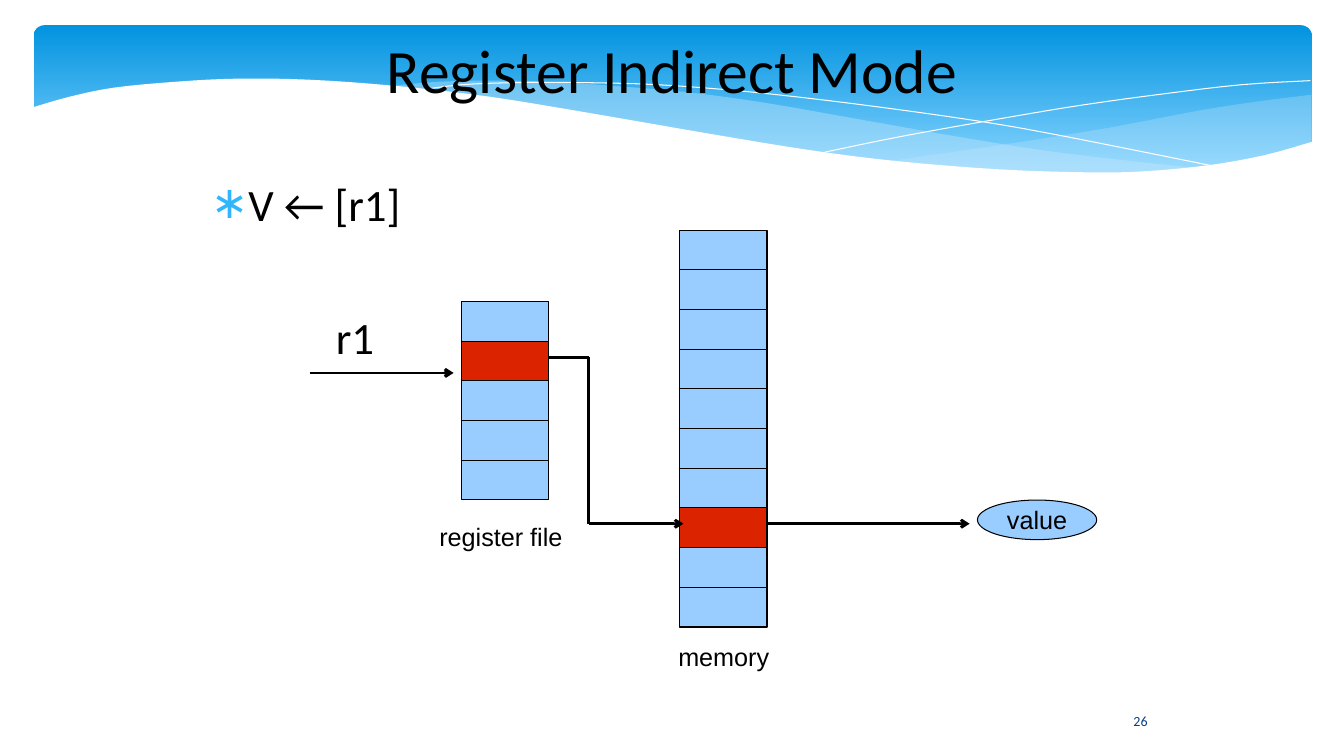
from dataclasses import dataclass
from typing import Any, NamedTuple

from lxml import etree
from pptx import Presentation
from pptx.dml.color import RGBColor
from pptx.enum.shapes import MSO_CONNECTOR, MSO_SHAPE
from pptx.enum.text import MSO_ANCHOR, MSO_AUTO_SIZE, PP_ALIGN
from pptx.oxml.ns import qn
from pptx.util import Pt

STRAIGHT = MSO_CONNECTOR.STRAIGHT
BOX, ROUND, OVAL = MSO_SHAPE.RECTANGLE, MSO_SHAPE.ROUNDED_RECTANGLE, MSO_SHAPE.OVAL
TOP, MIDDLE = MSO_ANCHOR.TOP, MSO_ANCHOR.MIDDLE
LEFT, CENTER = PP_ALIGN.LEFT, PP_ALIGN.CENTER
NO_FIT = MSO_AUTO_SIZE.NONE

Point = tuple[float, float]


@dataclass(frozen=True)
class Theme:
    black: str = "000000"
    white: str = "FFFFFF"
    cell: str = "99CCFF"
    hit: str = "DC2300"
    sky: str = "0293E0"
    pale: str = "83D3FE"
    mist: str = "C6E7FC"
    star: str = "31B6FD"
    navy: str = "073E87"
    head: str = "Calibri"
    plain: str = "Arial"
    title: float = 44
    body: float = 32
    label: float = 18
    small: float = 10


class Wave(NamedTuple):
    edges: list[list[Point]]
    fill: str | None = None
    alpha: int = 100
    ends: list[Point] = []


class Stack(NamedTuple):
    left: float
    top: float
    count: int
    hit: int


class Wire(NamedTuple):
    start: Point
    end: Point
    arrow: bool = False


class Label(NamedTuple):
    text: str
    area: tuple[float, float, float, float]
    font: str
    size: float
    color: str
    pad: tuple[float, float] = (7.2, 3.6)
    align: Any = LEFT
    anchor: Any = TOP
    wrap: bool = False
    indent: bool = False


T = Theme()
CELL_W, CELL_H = 62.4, 28.35

WAVES = [
    Wave([[(936.7, 67.7), (897.1, 72.7), (855.4, 79.2), (799.2, 90), (747.4, 98.6),
           (699.8, 105.8), (635, 115.2)],
          [(635, 115.2), (676.8, 118.8), (715, 121.7), (760.3, 123.8), (801.4, 123.8),
           (837.4, 121.7), (877, 116.6), (905, 110.9), (936.7, 102.2)]], T.mist, 29),
    Wave([[(856.8, 120.2), (803.5, 114.5), (744.5, 107.3), (677.5, 96.5), (604.1, 83.5),
           (546.5, 73.4), (493.9, 66.2), (445.7, 61.9), (403.2, 59), (364.3, 57.6),
           (314.6, 58.3), (275, 61.9)],
          [(275, 61.9), (328.3, 67.7), (367.9, 72.7), (431.3, 83.5), (508.3, 97.2),
           (577.4, 108), (638.6, 115.9), (693.4, 121), (741.6, 123.8), (784.8, 124.6),
           (823, 123.1), (856.8, 120.2)]], T.mist, 40),
    Wave([[(296.6, 64.8), (329.8, 60.5), (371.5, 59), (415.4, 59), (469.4, 60.5),
           (534.2, 65.5), (610.6, 74.2), (698.4, 86.4), (763.2, 97.9), (871.2, 119.5)]]),
    Wave([[(589, 108.7), (645.1, 97.2), (717.8, 84.2), (774, 74.9), (831.6, 67),
           (887, 60.5), (936, 57.6)]]),
    Wave([[(938.2, 101), (902.9, 110.9), (862.6, 118.1), (816.5, 122.4), (776.2, 123.1),
           (714.2, 121), (641.5, 115.2), (578.9, 107.3), (508.3, 95.8), (429.1, 82.1),
           (349.9, 69.1), (280.8, 61.2), (220.3, 56.9), (169.2, 56.2), (126.7, 58.3),
           (81.4, 62.6), (49.7, 69.1), (22.3, 77)]],
         T.white, 100, [(22.3, 161.3), (938.2, 161.3)]),
]
STACKS = [Stack(329.5, 215.4, 5, 1), Stack(485.5, 164.4, 10, 7)]
WIRES = [
    Wire((221.8, 266.4), (324, 266.4), True),
    Wire((391.9, 255.1), (420.5, 255.1)),
    Wire((420.5, 255.1), (420.5, 374.1)),
    Wire((420.5, 374.1), (488.2, 374.1), True),
    Wire((547.9, 374.1), (692.6, 374.1), True),
]
NUMBER = Label("26", (792.7, 500.4, 43.9, 28.8), T.head, T.small, T.navy,
               align=CENTER, anchor=MIDDLE, wrap=True)
TITLE = Label("Register Indirect Mode", (138.2, 12.2, 684, 73.4), T.head, T.title, T.black,
              (0, 0), CENTER, MIDDLE, True)
BODY = Label("V ← [r1]", (141.8, 126, 583.9, 55.4), T.head, T.body, T.black,
             (0, 0), wrap=True, indent=True)
NOTES = [
    Label("r1", (231.1, 221, 75.6, 38.9), T.head, T.body, T.black, (0, 0),
          wrap=True, indent=True),
    Label("register file", (306.7, 368.6, 103, 28.1), T.plain, T.label, T.black),
    Label("memory", (477.4, 454.3, 79.9, 28.1), T.plain, T.label, T.black),
]
VALUE = Label("value", (698.2, 357.2, 85.2, 28.3), T.plain, T.label, T.black,
              align=CENTER, anchor=MIDDLE)


def apply(target: Any, values: dict[str, Any]) -> None:
    for name, value in values.items():
        setattr(target, name, value)


def paint(shape: Any, fill: str | None, line: str | None) -> None:
    shape.shadow.inherit = False
    if fill:
        shape.fill.solid()
        shape.fill.fore_color.rgb = RGBColor.from_string(fill)
    else:
        shape.fill.background()
    if line:
        shape.line.color.rgb = RGBColor.from_string(line)
        shape.line.width = Pt(0)
    else:
        shape.line.fill.background()


def write(shape: Any, label: Label, bullet: str = "") -> None:
    """Place a shape and fill it with formatted text."""
    apply(shape, dict(zip(("left", "top", "width", "height"), map(Pt, label.area))))
    across, down = map(Pt, label.pad)
    frame = shape.text_frame
    apply(frame, {"margin_left": across, "margin_right": across, "margin_top": down,
                  "margin_bottom": down, "vertical_anchor": label.anchor,
                  "word_wrap": label.wrap, "auto_size": NO_FIT})
    para = frame.paragraphs[0]
    para.add_run().text = label.text
    apply(para, {"alignment": label.align, "space_before": Pt(0)})
    if label.indent:
        para.space_after = Pt(14.1)
        props = para._p.get_or_add_pPr()
        props.set("marL", str(Pt(34)))
        props.set("indent", str(-Pt(25.2)))
        if bullet:
            tint = etree.SubElement(props, qn("a:buClr"))
            etree.SubElement(tint, qn("a:srgbClr"), val=T.star)
            etree.SubElement(props, qn("a:buFont"), typeface=T.head)
            etree.SubElement(props, qn("a:buChar"), char=bullet)
    font = para.runs[0].font
    apply(font, {"name": label.font, "size": Pt(label.size), "bold": False})
    font.color.rgb = RGBColor.from_string(label.color)


def smooth(knots: list[Point], steps: int = 4) -> list[Point]:
    """Run a Catmull-Rom curve through the knots."""
    ring = [knots[0], *knots, knots[-1]]
    dots = [knots[0]]
    for a, b, c, d in zip(ring, ring[1:], ring[2:], ring[3:]):
        for step in range(1, steps + 1):
            t = step / steps
            x, y = (q + t / 2 * (r - p + t * (2 * p - 5 * q + 4 * r - s
                                              + t * (3 * (q - r) + s - p)))
                    for p, q, r, s in zip(a, b, c, d))
            dots.append((x, y))
    return dots


def draw_wave(shapes: Any, wave: Wave) -> None:
    dots = [dot for edge in wave.edges for dot in smooth(edge)] + wave.ends
    spots = [(Pt(x), Pt(y)) for x, y in dots]
    pen = shapes.build_freeform(*spots[0])
    pen.add_line_segments(spots[1:], close=bool(wave.fill))
    shape = pen.convert_to_shape()
    paint(shape, wave.fill, None if wave.fill else T.white)
    if wave.alpha < 100:
        tint = next(shape.element.iter(qn("a:srgbClr")))
        etree.SubElement(tint, qn("a:alpha"), val=str(wave.alpha * 1000))


def draw_sky(shapes: Any) -> None:
    sky = shapes.add_shape(ROUND, Pt(24), Pt(18), Pt(913), Pt(112.3))
    sky.adjustments[0] = 0.07
    paint(sky, None, None)
    sky.fill.gradient()
    sky.fill.gradient_angle = 270
    for stop, color, place in zip(sky.fill.gradient_stops, (T.sky, T.pale), (0, 0.9)):
        stop.color.rgb = RGBColor.from_string(color)
        stop.position = place


def draw_stack(shapes: Any, stack: Stack) -> None:
    for row in range(stack.count):
        cell = shapes.add_shape(BOX, Pt(stack.left), Pt(stack.top + row * CELL_H),
                                Pt(CELL_W), Pt(CELL_H))
        paint(cell, T.hit if row == stack.hit else T.cell, T.black)


def draw_wire(shapes: Any, wire: Wire) -> None:
    line = shapes.add_connector(STRAIGHT, *map(Pt, wire.start + wire.end))
    line.line.color.rgb = RGBColor.from_string(T.black)
    line.line.width = Pt(0)
    if wire.arrow:
        etree.SubElement(line.line._get_or_add_ln(), qn("a:tailEnd"), type="arrow")
    etree.SubElement(line.element.spPr, qn("a:effectLst"))


def main() -> None:
    deck = Presentation()
    apply(deck, {"slide_width": Pt(960), "slide_height": Pt(540)})
    slide = deck.slides.add_slide(deck.slide_layouts[1])
    shapes = slide.shapes
    title, body = slide.placeholders

    # Banner, kept behind the placeholders
    draw_sky(shapes)
    for wave in WAVES:
        draw_wave(shapes, wave)
    write(shapes.add_textbox(0, 0, 0, 0), NUMBER)
    for holder in (title, body):
        shapes.element.append(holder.element)
    write(title, TITLE)
    write(body, BODY, "∗")

    # Register file, memory and the links between them
    for stack in STACKS:
        draw_stack(shapes, stack)
    for wire in WIRES:
        draw_wire(shapes, wire)
    for note in NOTES:
        write(shapes.add_textbox(0, 0, 0, 0), note)
    value = shapes.add_shape(OVAL, 0, 0, 0, 0)
    paint(value, T.cell, T.black)
    write(value, VALUE)

    deck.save("out.pptx")


if __name__ == "__main__":
    main()
